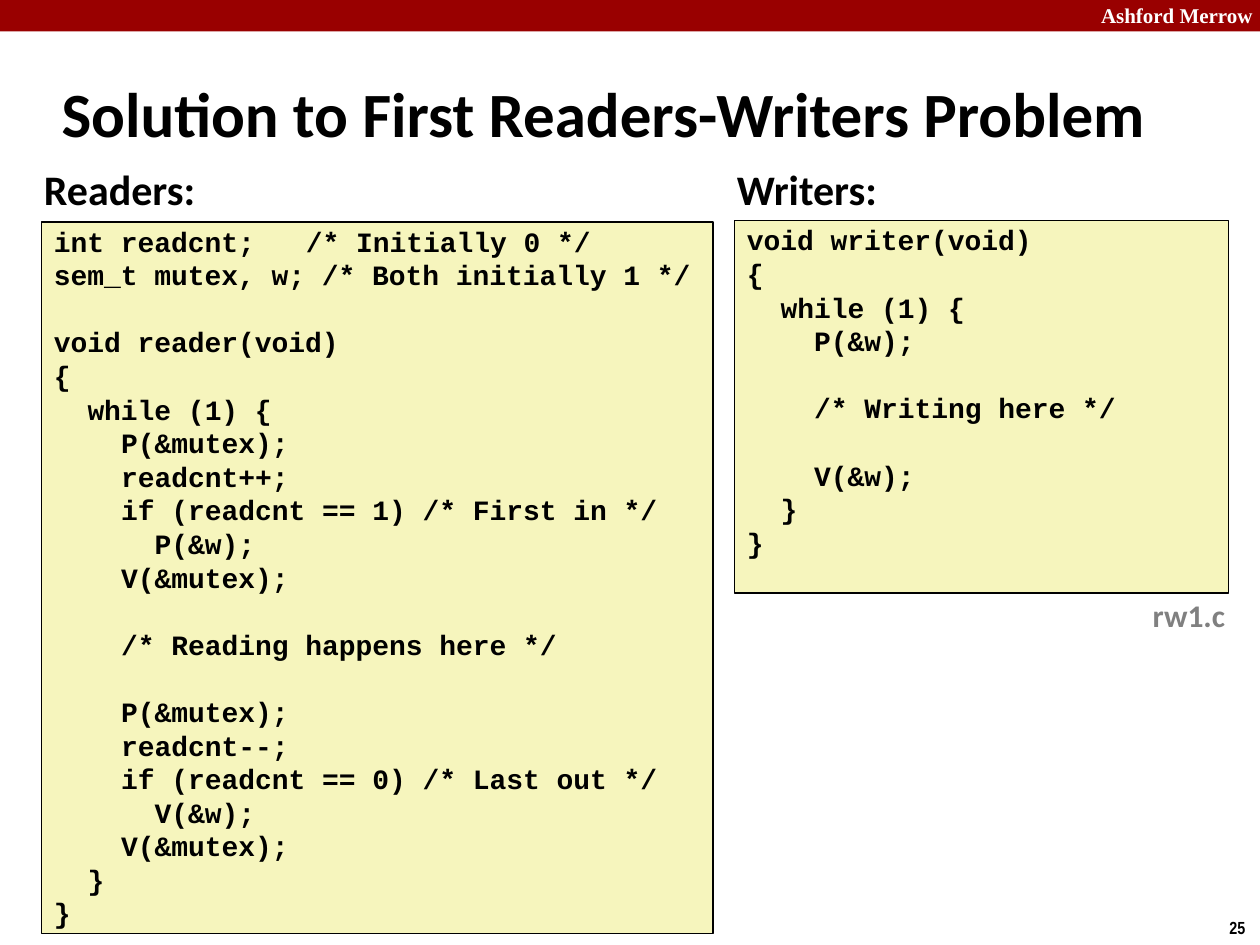
from lxml import etree
from pptx import Presentation
from pptx.dml.color import RGBColor
from pptx.enum import shapes, text
from pptx.oxml.ns import qn
from pptx.util import Inches, Pt

BLACK = RGBColor(0, 0, 0)
WHITE = RGBColor(255, 255, 255)
GRAY = RGBColor(0x80, 0x80, 0x80)
RED = RGBColor(0x99, 0, 0)
CREAM = RGBColor(0xF6, 0xF5, 0xBD)

SIZE = 16
LINE = 19.2  # line pitch of the code, in points
CHAR = SIZE * 0.6  # width of one code letter, in points
TAB = 16  # column of the comment after a tab

# text, (left, top, width, height), font, size, colour, wrap
LABELS = [
    ("Ashford Merrow", (8.64, -0.03, 1.43, 0.3), "Times New Roman", 12, WHITE, False),
    ("25", (9.66, 7.23, 0.34, 0.27), "Arial Narrow", 10, BLACK, False),
    ("Solution to First Readers-Writers Problem", (0.39, 0.48, 9.36, 0.83),
     "Calibri", 36, BLACK, True),
    ("Readers:", (0.25, 1.25, 1.41, 0.5), "Calibri", 24, BLACK, False),
    ("Writers:", (5.75, 1.25, 1.32, 0.5), "Calibri", 24, BLACK, False),
    ("rw1.c", (9.05, 4.68, 0.78, 0.4), "Calibri", 18, GRAY, False),
]

# Each block is a list of (depth, code); a new block starts after a gap.
READER = [
    [(0, "int readcnt;\t/* Initially 0 */"),
     (0, "sem_t mutex, w; /* Both initially 1 */")],
    [(0, "void reader(void)"),
     (0, "{"),
     (1, "while (1) {"),
     (2, "P(&mutex);"),
     (2, "readcnt++;"),
     (2, "if (readcnt == 1) /* First in */"),
     (3, "P(&w);"),
     (2, "V(&mutex);")],
    [(2, "/* Reading happens here */")],
    [(2, "P(&mutex);"),
     (2, "readcnt--;"),
     (2, "if (readcnt == 0) /* Last out */"),
     (3, "V(&w);"),
     (2, "V(&mutex);"),
     (1, "}"),
     (0, "}")],
]
WRITER = [
    [(0, "void writer(void)"),
     (0, "{"),
     (1, "while (1) {"),
     (2, "P(&w);")],
    [(2, "/* Writing here */")],
    [(2, "V(&w);"),
     (1, "}"),
     (0, "}")],
]
PANELS = [
    (READER, (0.33, 1.76, 5.33, 5.65)),
    (WRITER, (5.83, 1.75, 3.92, 2.96)),
]


def style(font, name, size, color):
    for key, value in {"name": name, "size": Pt(size), "bold": True}.items():
        setattr(font, key, value)
    font.color.rgb = color


def add_box(slide, place, fill):
    box = slide.shapes.add_shape(shapes.MSO_SHAPE.RECTANGLE, *map(Inches, place))
    box.shadow.inherit = False
    box.fill.solid()
    box.fill.fore_color.rgb = fill
    return box


def add_label(slide, words, place, name, size, color, wrap):
    frame = slide.shapes.add_textbox(*map(Inches, place)).text_frame
    frame.word_wrap = wrap
    if wrap:
        frame.vertical_anchor = text.MSO_ANCHOR.MIDDLE
    run = frame.paragraphs[0].add_run()
    run.text = words
    style(run.font, name, size, color)


def indent(para, depth, code):
    """Set the left margin by depth, and a tab stop where the line needs one."""
    props = para._p.get_or_add_pPr()
    props.set("marL", str(Pt(depth * 2 * CHAR)))
    props.set("indent", "0")
    if "\t" in code:
        stops = etree.SubElement(props, qn("a:tabLst"))
        etree.SubElement(stops, qn("a:tab"), pos=str(Pt(TAB * CHAR)), algn="l")


def add_panel(slide, blocks, place):
    box = add_box(slide, place, CREAM)
    box.line.color.rgb = BLACK
    box.line.width = Pt(1)
    frame = box.text_frame
    form = {"word_wrap": True, "vertical_anchor": text.MSO_ANCHOR.TOP,
            "margin_top": Inches(0.02), "margin_bottom": 0}
    for key, value in form.items():
        setattr(frame, key, value)
    para = frame.paragraphs[0]
    for b, block in enumerate(blocks):
        for i, (depth, code) in enumerate(block):
            if b or i:
                para = frame.add_paragraph()
            para.alignment = text.PP_ALIGN.LEFT
            para.line_spacing = Pt(LINE)
            para.space_before = Pt(LINE if b and not i else 0)
            indent(para, depth, code)
            run = para.add_run()
            run.text = code
            style(run.font, "Courier New", SIZE, BLACK)


def main():
    deck = Presentation()
    deck.slide_width, deck.slide_height = Inches(10), Inches(7.5)
    slide = deck.slides.add_slide(deck.slide_layouts[6])
    add_box(slide, (0, 0, 10, 0.25), RED).line.fill.background()
    for blocks, place in PANELS:
        add_panel(slide, blocks, place)
    for label in LABELS:
        add_label(slide, *label)
    deck.save("out.pptx")


if __name__ == "__main__":
    main()
